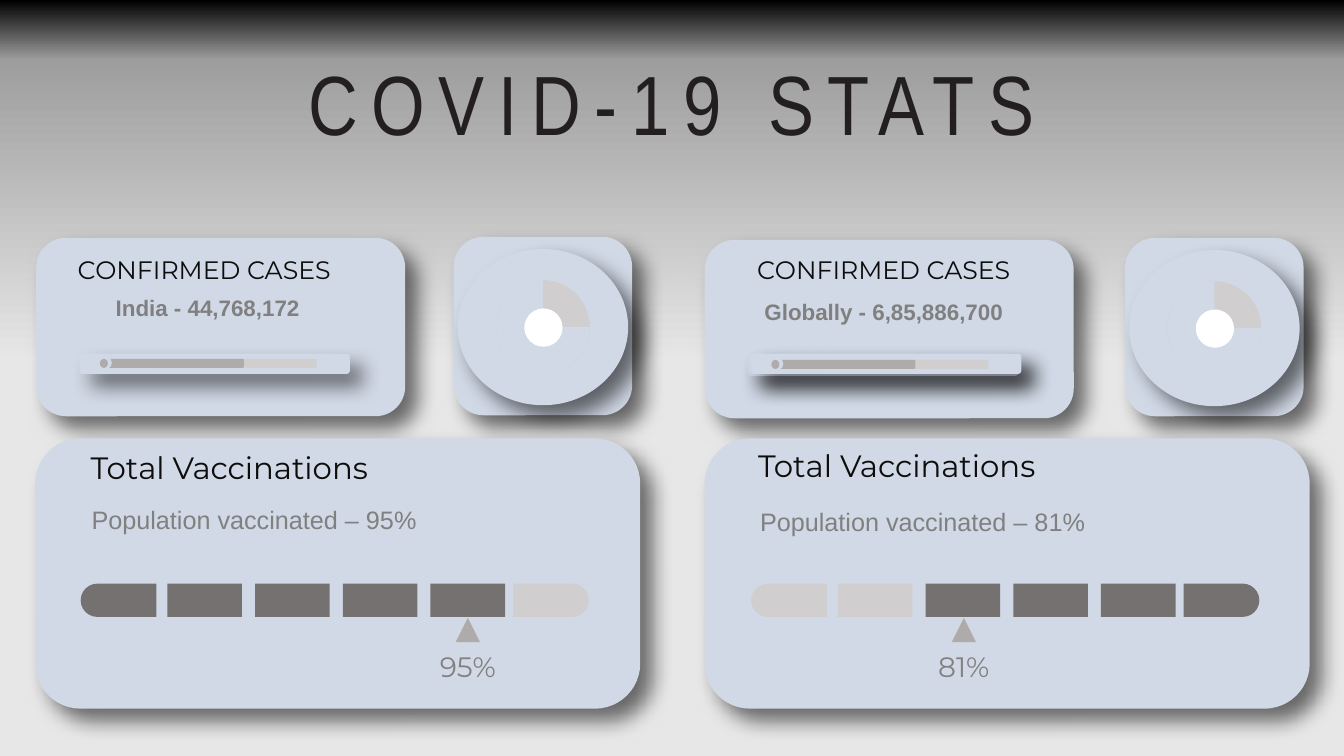
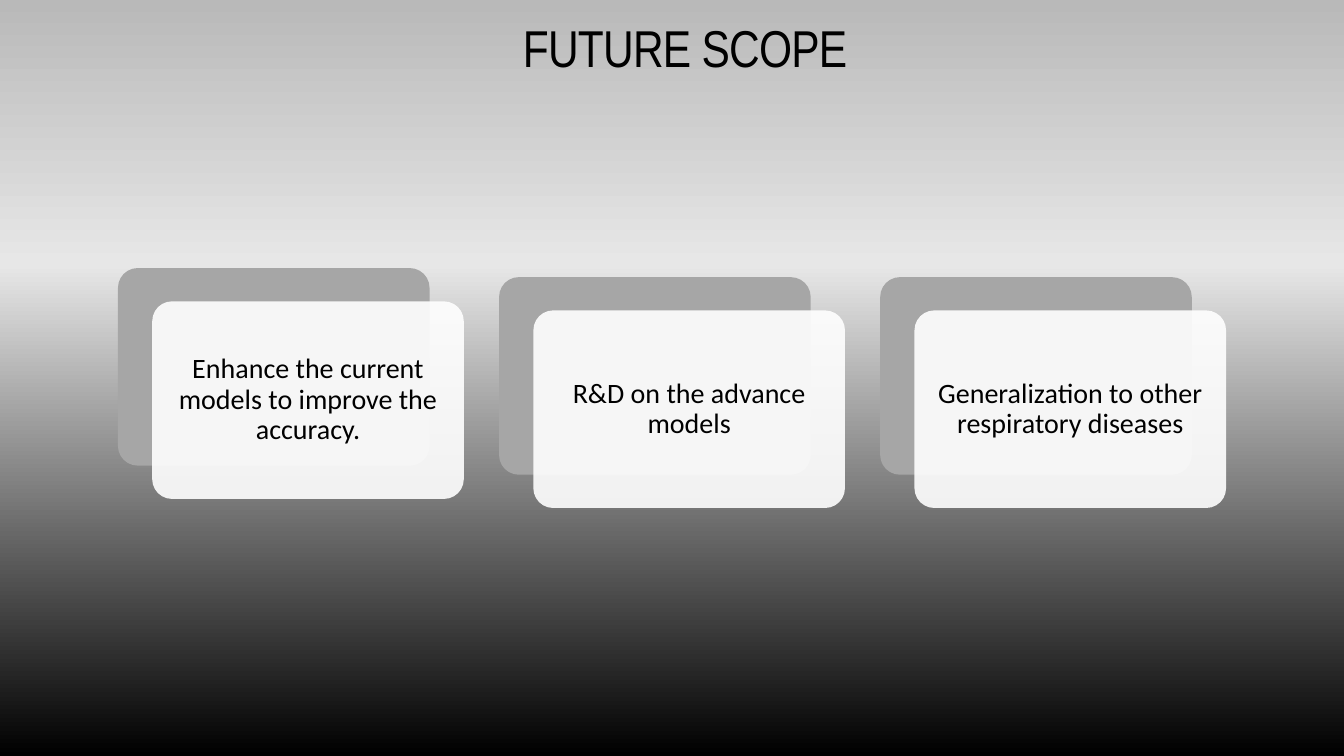
from dataclasses import dataclass

from lxml.etree import SubElement
from pptx import Presentation
from pptx.dml.color import RGBColor
from pptx.enum.shapes import MSO_SHAPE as SHAPE
from pptx.enum.text import MSO_ANCHOR, MSO_AUTO_SIZE, PP_ALIGN
from pptx.oxml.ns import qn
from pptx.util import Inches, Pt


@dataclass(frozen=True)
class Theme:
    card: str = "D1D9E6"
    pale: str = "D0CECE"
    mid: str = "AFABAB"
    dark: str = "767171"
    back: str = "A6A6A6"
    white: str = "FFFFFF"
    black: str = "000000"
    heading: str = "231F20"
    ink: str = "0D0D0D"
    muted: str = "808080"
    silver: str = "E7E7E7"
    title_font: str = "Arial Narrow"
    label_font: str = "Montserrat"
    text_font: str = "Arial"
    body_font: str = "Calibri"
    hero: int = 60
    title: int = 37
    panel: int = 22
    body: int = 20
    label: int = 18
    figure: int = 16


class Deck:
    def __init__(self, prs, theme):
        self.prs = prs
        self.t = theme
        self.s = None

    def slide(self, stops):
        self.s = self.prs.slides.add_slide(self.prs.slide_layouts[5])
        fill = self.s.background.fill
        fill.gradient()
        fill.gradient_angle = 90
        gs_list = self.s.element.find(".//" + qn("a:gsLst"))
        for gs in list(gs_list):
            gs_list.remove(gs)
        for pos, color in stops:
            gs = SubElement(gs_list, qn("a:gs"), pos=str(pos * 1000))
            SubElement(gs, qn("a:srgbClr"), val=color)

    def set_text(self, sp, text, size, font, color, align=PP_ALIGN.CENTER,
                 bold=False, anchor=MSO_ANCHOR.TOP, spacing=None):
        tf = sp.text_frame
        tf.word_wrap = True
        tf.auto_size = MSO_AUTO_SIZE.NONE
        tf.vertical_anchor = anchor
        p = tf.paragraphs[0]
        p.text = text
        p.alignment = align
        p.line_spacing = spacing
        p.font.size = Pt(size)
        p.font.name = font
        p.font.bold = bold
        p.font.color.rgb = RGBColor.from_string(color)
        return tf

    def inset(self, tf, margin):
        tf.margin_left = tf.margin_right = Inches(margin)
        tf.margin_top = tf.margin_bottom = Inches(margin)

    def title(self, text, x, y, w, h, size, color, tracking, spacing,
              anchor=MSO_ANCHOR.TOP):
        sp = self.s.shapes.title
        sp.left, sp.top, sp.width, sp.height = map(Inches, (x, y, w, h))
        tf = self.set_text(sp, text, size, self.t.title_font, color,
                           anchor=anchor, spacing=spacing)
        r = tf.paragraphs[0].runs[0]
        r._r.get_or_add_rPr().set("spc", str(tracking))
        return tf

    def text(self, text, x, y, w, h, size, font, color, **style):
        sp = self.s.shapes.add_textbox(*map(Inches, (x, y, w, h)))
        self.set_text(sp, text, size, font, color, **style)

    def shape(self, kind, x, y, w, h, color, shadow=False, opacity=None):
        sp = self.s.shapes.add_shape(kind, *map(Inches, (x, y, w, h)))
        sp.fill.solid()
        sp.fill.fore_color.rgb = RGBColor.from_string(color)
        sp.line.fill.background()
        sp.shadow.inherit = False
        if opacity:
            clr = sp._element.spPr.find(".//" + qn("a:srgbClr"))
            SubElement(clr, qn("a:alpha"), val=str(opacity * 1000))
        if shadow:
            effects = sp._element.spPr.find(qn("a:effectLst"))
            outer = SubElement(effects, qn("a:outerShdw"), blurRad=str(Pt(15)),
                               dist=str(Pt(12)), dir=str(45 * 60000),
                               algn="tl", rotWithShape="0")
            clr = SubElement(outer, qn("a:srgbClr"), val=self.t.black)
            SubElement(clr, qn("a:alpha"), val="55000")
        return sp

    def cap(self, x, y, w, h, color, rotation):
        sp = self.shape(SHAPE.ROUND_2_SAME_RECTANGLE, x + (w - h) / 2,
                        y + (h - w) / 2, h, w, color)
        sp.adjustments[0] = 0.5
        sp.adjustments[1] = 0
        sp.rotation = rotation

    def slider(self, x, y, rails):
        t = self.t
        for rail_x, rail_y in rails:
            self.shape(SHAPE.ROUNDED_RECTANGLE, rail_x, rail_y, 2.68, 0.2,
                       t.card, shadow=True)
        for width, color in ((2.15, t.pale), (1.43, t.mid)):
            self.shape(SHAPE.ROUNDED_RECTANGLE, x, y, width, 0.09, color)
        self.shape(SHAPE.OVAL, x - 0.04, y - 0.03, 0.16, 0.14, t.card)
        self.shape(SHAPE.OVAL, x, y, 0.08, 0.09, t.mid)

    def dial(self, x, y):
        t = self.t
        self.shape(SHAPE.ROUNDED_RECTANGLE, x, y, 1.77, 1.77, t.card,
                   shadow=True)
        self.shape(SHAPE.OVAL, x + 0.04, y + 0.12, 1.69, 1.55, t.card,
                   shadow=True)
        for kind, color in ((SHAPE.OVAL, t.pale), (SHAPE.PIE, t.card)):
            self.shape(kind, x + 0.42, y + 0.43, 0.93, 0.93, color)
        self.shape(SHAPE.OVAL, x + 0.7, y + 0.71, 0.38, 0.38, t.white)

    def cases(self, x, y, label_x, figure, figure_at):
        t = self.t
        self.shape(SHAPE.ROUNDED_RECTANGLE, x, y, 3.66, 1.77, t.card,
                   shadow=True)
        self.text("CONFIRMED CASES", label_x, 2.47, 2.95, 0.4, t.label,
                  t.label_font, t.ink)
        self.text(figure, *figure_at, 0.37, t.figure, t.text_font, t.muted,
                  bold=True)

    def vaccinations(self, x, share, filled, meter_x, marker_x, head_at,
                     note_at):
        t = self.t
        self.shape(SHAPE.ROUNDED_RECTANGLE, x, 4.35, 6, 2.68, t.card,
                   shadow=True)
        self.text("Total Vaccinations", *head_at, 4, 0.47, t.panel,
                  t.label_font, t.ink, align=PP_ALIGN.LEFT)
        self.text(f"Population vaccinated – {share}", *note_at, 4, 0.4,
                  t.label, t.text_font, t.muted, align=PP_ALIGN.LEFT)
        colors = [t.dark if i in filled else t.pale for i in range(6)]
        self.cap(meter_x, 5.79, 0.75, 0.33, colors[0], 270)
        for i, color in enumerate(colors[1:5]):
            self.shape(SHAPE.RECTANGLE, meter_x + 0.86 + 0.87 * i, 5.79,
                       0.74, 0.33, color)
        self.cap(meter_x + 4.29, 5.79, 0.75, 0.33, colors[5], 90)
        self.shape(SHAPE.ISOSCELES_TRIANGLE, marker_x, 6.13, 0.24, 0.24, t.mid)
        self.text(share, marker_x - 0.33, 6.39, 0.9, 0.44, t.body,
                  t.label_font, t.muted)

    def idea(self, text, x, y):
        t = self.t
        for shift, color, opacity in ((0, t.back, None),
                                      (1, t.white, 90)):
            sp = self.shape(SHAPE.ROUNDED_RECTANGLE, x + 0.34 * shift,
                            y + 0.33 * shift, 3.09, 1.96, color,
                            opacity=opacity)
            sp.adjustments[0] = 0.1
        tf = self.set_text(sp, text, t.body, t.body_font, t.black,
                           anchor=MSO_ANCHOR.MIDDLE, spacing=0.9)
        self.inset(tf, 0.08)


def stats_slide(d):
    t = d.t
    d.slide([(52, t.silver), (92, "9E9E9E"), (100, t.black)])
    tf = d.title("COVID-19 STATS", 2.61, 0, 8.11, 1.51, t.hero, t.heading,
                 980, Pt(108.9))
    d.inset(tf, 0)
    d.cases(0.36, 2.36, 0.55, "India - 44,768,172", (1.03, 2.87, 2.06))
    d.slider(0.99, 3.56, [(0.79, 3.51)])
    d.dial(4.5, 2.35)
    d.cases(6.99, 2.38, 7.29, "Globally - 6,85,886,700", (7.47, 2.91, 2.59))
    d.slider(7.65, 3.57, [(7.42, 3.53), (7.45, 3.51)])
    d.dial(11.16, 2.36)
    d.vaccinations(0.35, "95%", range(5), 0.8, 4.52, (0.8, 4.4), (0.81, 4.95))
    d.vaccinations(6.99, "81%", range(2, 6), 7.45, 9.44, (7.42, 4.38),
                   (7.44, 4.97))


def scope_slide(d):
    t = d.t
    d.slide([(0, t.black), (65, t.silver), (100, "B9B9B9")])
    tf = d.title("FUTURE SCOPE", 5.04, 0, 3.51, 0.82, t.title, t.black, -50,
                 0.85, MSO_ANCHOR.BOTTOM)
    tf.paragraphs[0].space_after = Pt(6)
    ideas = (("Enhance the current models to improve the accuracy.", 2.66),
             ("R&D on the advance models", 2.75),
             ("Generalization to other respiratory diseases", 2.75))
    for i, (text, y) in enumerate(ideas):
        d.idea(text, 1.17 + 3.78 * i, y)


def main():
    prs = Presentation()
    prs.slide_width = Inches(13.33)
    prs.slide_height = Inches(7.5)
    d = Deck(prs, Theme())
    stats_slide(d)
    scope_slide(d)
    prs.save("out.pptx")


if __name__ == "__main__":
    main()
